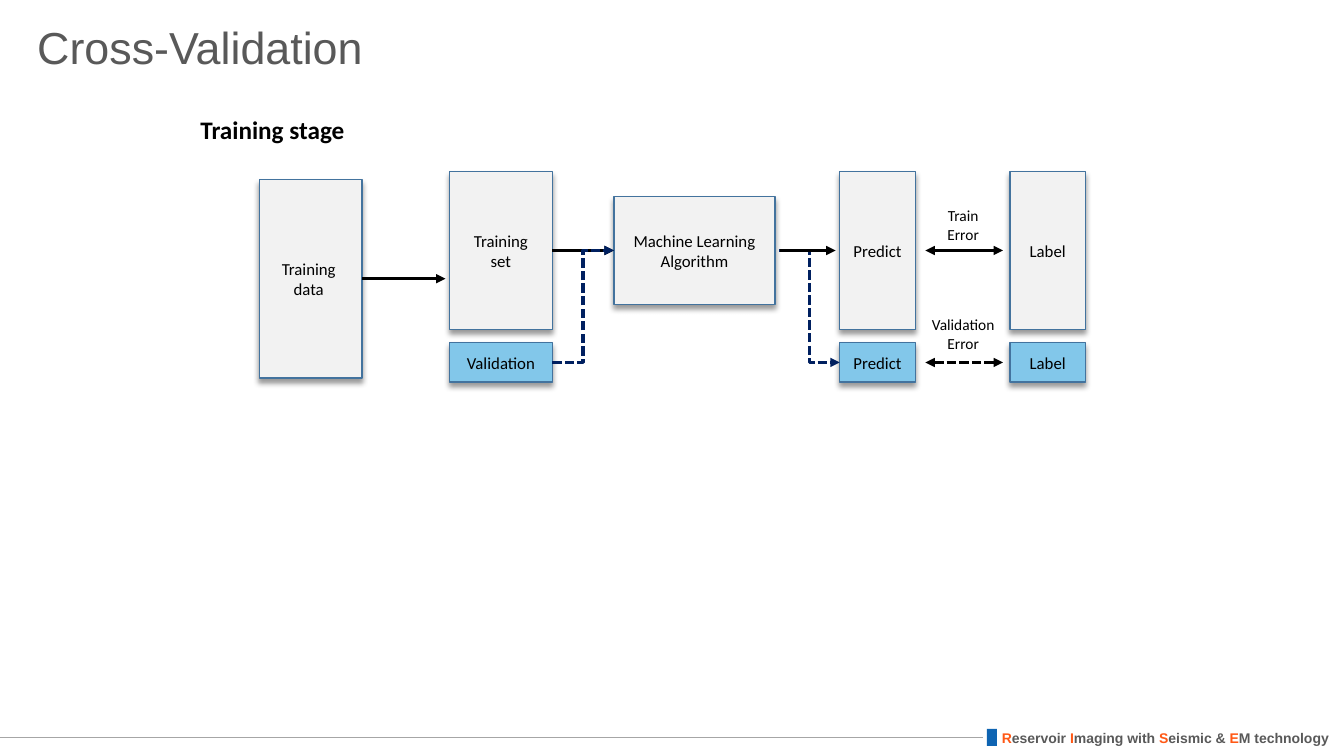
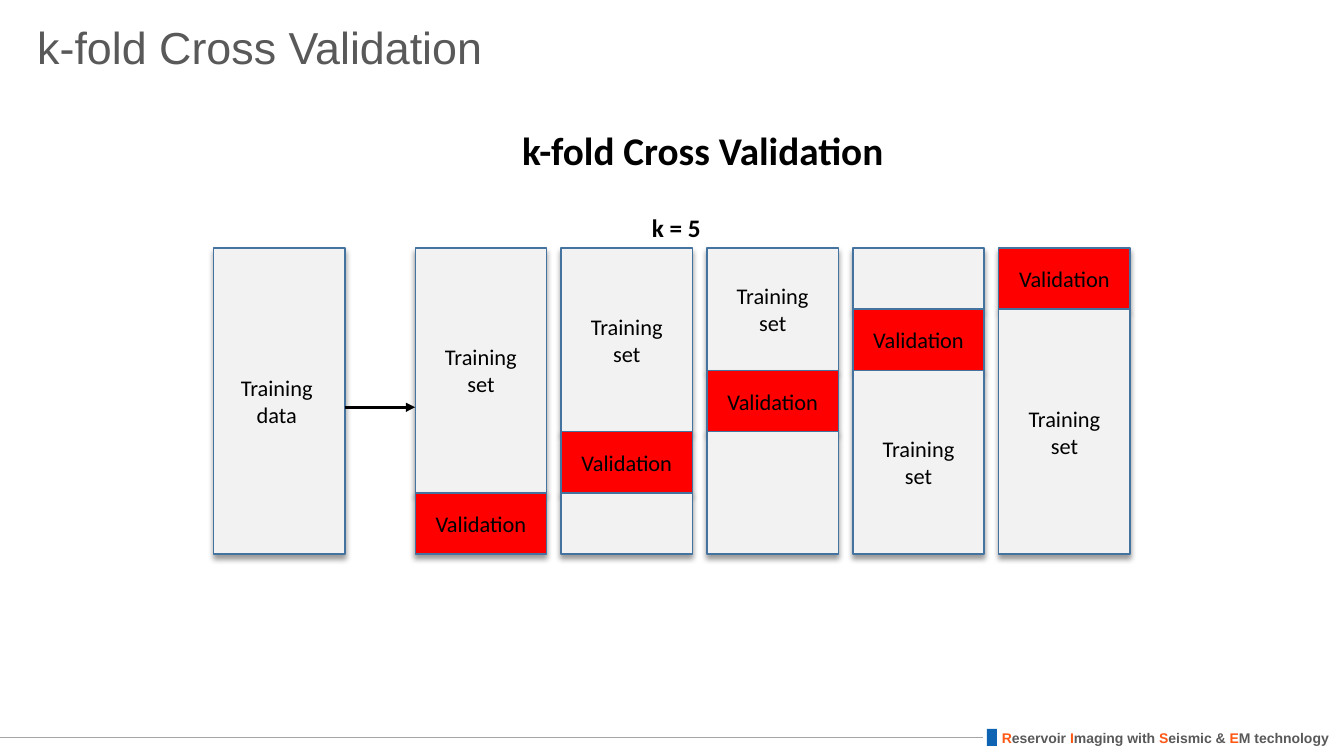
"""Build two slides about cross-validation."""
from dataclasses import dataclass

from lxml import etree
from pptx import Presentation
from pptx import util as u
from pptx.dml.color import RGBColor
from pptx.enum import dml, shapes, text
from pptx.oxml.ns import qn


@dataclass(frozen=True)
class Theme:
    """Hold the colours, fonts and type sizes of the deck."""
    ink: str = "000000"
    grey: str = "595959"
    accent: str = "FF5815"
    rule: str = "A6A6A6"
    marker: str = "0E64B2"
    border: str = "43739E"
    training: str = "F2F2F2"
    holdout: str = "82C7EA"
    fold: str = "FF0000"
    dashed: str = "002060"
    heading_font: str = "Arial"
    body_font: str = "Calibri"
    title_size: float = 32
    banner_size: float = 28
    heading_size: float = 18
    fold_size: float = 16
    box_size: float = 12
    label_size: float = 11
    footer_size: float = 10


THEME = Theme()
SET_LINES = ["Training", "set"]
DATA_LINES = ["Training ", "data "]


def points(*lengths):
    """Turn numbers into lengths in points."""
    return [u.Pt(length) for length in lengths]


def add_span(para, words, size, color=THEME.ink, font=THEME.body_font, bold=False):
    """Add one formatted run to a paragraph."""
    span = para.add_run()
    span.text = words
    span.font.size = u.Pt(size)
    span.font.name = font
    span.font.bold = bold
    span.font.color.rgb = RGBColor.from_string(color)


def write_lines(frame, lines, size, align, bold=False):
    """Write each line as a paragraph of the frame."""
    for index, line in enumerate(lines):
        para = frame.add_paragraph() if index else frame.paragraphs[0]
        para.alignment = align
        add_span(para, line, size, bold=bold)


def add_label(slide, lines, place, size, align=text.PP_ALIGN.LEFT, bold=False, wrap=True):
    """Add a text box."""
    frame = slide.shapes.add_textbox(*points(*place)).text_frame
    frame.word_wrap = wrap
    frame.auto_size = text.MSO_AUTO_SIZE.SHAPE_TO_FIT_TEXT
    write_lines(frame, lines, size, align, bold)
    return frame


def add_rectangle(slide, place, fill):
    """Add a plain rectangle without line or shadow."""
    box = slide.shapes.add_shape(shapes.MSO_SHAPE.RECTANGLE, *points(*place))
    box.shadow.inherit = False
    box.fill.solid()
    box.fill.fore_color.rgb = RGBColor.from_string(fill)
    box.line.fill.background()
    return box


def add_box(slide, lines, place, fill=THEME.training, size=THEME.box_size):
    """Add a bordered box with a soft shadow and centred text."""
    box = add_rectangle(slide, place, fill)
    box.line.color.rgb = RGBColor.from_string(THEME.border)
    box.line.width = u.Pt(1)
    effects = box.element.find(qn("p:spPr")).find(qn("a:effectLst"))
    shadow = etree.SubElement(effects, qn("a:outerShdw"), blurRad=str(u.Pt(4)),
                              dist=str(u.Pt(3)), dir="5400000", rotWithShape="0")
    color = etree.SubElement(shadow, qn("a:srgbClr"), val=THEME.ink)
    etree.SubElement(color, qn("a:alpha"), val="40000")
    box.text_frame.word_wrap = True
    box.text_frame.vertical_anchor = text.MSO_ANCHOR.MIDDLE
    write_lines(box.text_frame, lines, size, text.PP_ALIGN.CENTER)
    return box


def add_line(slide, start, end, color=THEME.ink, width=2.25, heads=("tailEnd",),
             dashed=False, kind=shapes.MSO_CONNECTOR.STRAIGHT):
    """Add a connector with arrowheads at the named ends."""
    line = slide.shapes.add_connector(kind, *points(*start, *end))
    line.line.color.rgb = RGBColor.from_string(color)
    line.line.width = u.Pt(width)
    if dashed:
        line.line.dash_style = dml.MSO_LINE.SQUARE_DOT
    properties = line.element.find(qn("p:spPr"))
    for head in heads:
        etree.SubElement(properties.find(qn("a:ln")), qn(f"a:{head}"), type="triangle")
    etree.SubElement(properties, qn("a:effectLst"))
    return line


def join(line, source, target):
    """Join a connector from the right side of one box to the left of another."""
    line.begin_connect(source, 3)
    line.end_connect(target, 1)


def add_footer(slide):
    """Draw the footer and move it to the layout that all slides share."""
    rule = add_line(slide, (702, 526.4), (0, 526.4), THEME.rule, 0.5, heads=())
    marker = add_rectangle(slide, (704.9, 520.6, 7.2, 12.2), THEME.marker)
    frame = add_label(slide, [], (708.5, 517.7, 250.6, 19.4), THEME.footer_size, wrap=False)
    for initial, rest in (("R", "eservoir "), ("I", "maging with "),
                          ("S", "eismic & "), ("E", "M technology")):
        for words, color in ((initial, THEME.accent), (rest, THEME.grey)):
            add_span(frame.paragraphs[0], words, THEME.footer_size, color,
                     THEME.heading_font, bold=True)
    tree = slide.slide_layout.shapes.element
    for number, shape in enumerate((rule, marker, slide.shapes[-1]), start=20):
        shape.element.xpath("./*[1]/p:cNvPr")[0].set("id", str(number))
        tree.append(shape.element)


def add_page(deck, title):
    """Add a slide with its title."""
    page = deck.slides.add_slide(deck.slide_layouts.get_by_name("Title Only"))
    box = page.shapes.title
    box.left, box.top, box.width, box.height = points(19.4, 9.4, 828, 52.6)
    frame = box.text_frame
    frame.word_wrap = True
    frame.auto_size = text.MSO_AUTO_SIZE.NONE
    frame.vertical_anchor = text.MSO_ANCHOR.MIDDLE
    para = frame.paragraphs[0]
    para.alignment = text.PP_ALIGN.LEFT
    para.line_spacing = 0.9
    add_span(para, title, THEME.title_size, THEME.grey, THEME.heading_font)
    return page


def draw_training_stage(page):
    """Draw the flow from training data to the two errors."""
    upper, upper_height, lower, lower_height = 122.4, 113, 244.8, 28.2
    upper_middle, lower_middle = upper + upper_height / 2, lower + lower_height / 2
    add_label(page, ["Training stage"], (136.1, 77.8, 175.7, 28.8),
              THEME.heading_size, bold=True)
    data = add_box(page, DATA_LINES, (185.2, 128.2, 73.4, 141.8))
    columns = {}
    for name, lines, lower_name, left, width in (
            ("set", SET_LINES, "Validation", 321.1, 73.4),
            ("predict", ["Predict"], "Predict", 599.8, 54),
            ("label", ["Label"], "Label", 721.4, 54)):
        columns[name] = (
            add_box(page, lines, (left, upper, width, upper_height)),
            add_box(page, [lower_name], (left, lower, width, lower_height), THEME.holdout))
    algorithm = add_box(page, ["Machine Learning Algorithm"],
                        (438.5, upper_middle - 38.5, 115.2, 77))

    add_line(page, (258.6, 199.1), (318.2, 199.1)).begin_connect(data, 3)
    training_set, validation = columns["set"]
    join(add_line(page, (394.5, upper_middle), (438.5, upper_middle)),
         training_set, algorithm)
    elbow = shapes.MSO_CONNECTOR.ELBOW
    join(add_line(page, (394.5, lower_middle), (438.5, upper_middle), THEME.dashed,
                  dashed=True, kind=elbow), validation, algorithm)
    add_line(page, (556.6, upper_middle), (599.8, lower_middle), THEME.dashed,
             dashed=True, kind=elbow)
    add_line(page, (557.3, upper_middle), (596.9, upper_middle))

    for name, middle, dashed, place in (
            ("Train", upper_middle, False, (658.1, 144, 59.8, 33.8)),
            ("Validation", lower_middle, True, (653.8, 221.8, 68.4, 33.8))):
        add_line(page, (661, middle), (716.4, middle),
                 heads=("headEnd", "tailEnd"), dashed=dashed)
        add_label(page, [name, "Error"], place, THEME.label_size, text.PP_ALIGN.CENTER)


def draw_folds(page, count=5):
    """Draw the training data and its split into folds."""
    top, width, part, first, pitch = 177.1, 93.8, 43.75, 296.6, 104.2
    add_label(page, ["k-fold Cross Validation"], (365.8, 86.4, 314.6, 41),
              THEME.banner_size, bold=True)
    add_label(page, [f"k = {count}"], (458.6, 148.3, 49.7, 28.8),
              THEME.heading_size, bold=True, wrap=False)
    add_box(page, DATA_LINES, (152.6, top, width, count * part), size=THEME.fold_size)
    for fold in range(count):
        above, below = count - 1 - fold, fold
        segments = (
            (0, above, SET_LINES if above >= below else [], THEME.training),
            (above, 1, ["Validation"], THEME.fold),
            (above + 1, below, SET_LINES if below > above else [], THEME.training))
        for start, parts, lines, fill in segments:
            if parts:
                place = (first + fold * pitch, top + start * part, width, parts * part)
                add_box(page, lines, place, fill, THEME.fold_size)
    add_line(page, (246.4, 290.9), (first, 290.9))


def main():
    """Build and save the deck."""
    deck = Presentation()
    deck.slide_width, deck.slide_height = points(960, 540)
    stage = add_page(deck, "Cross-Validation")
    add_footer(stage)
    draw_training_stage(stage)
    draw_folds(add_page(deck, "k-fold Cross Validation"))
    deck.save("out.pptx")


if __name__ == "__main__":
    main()
